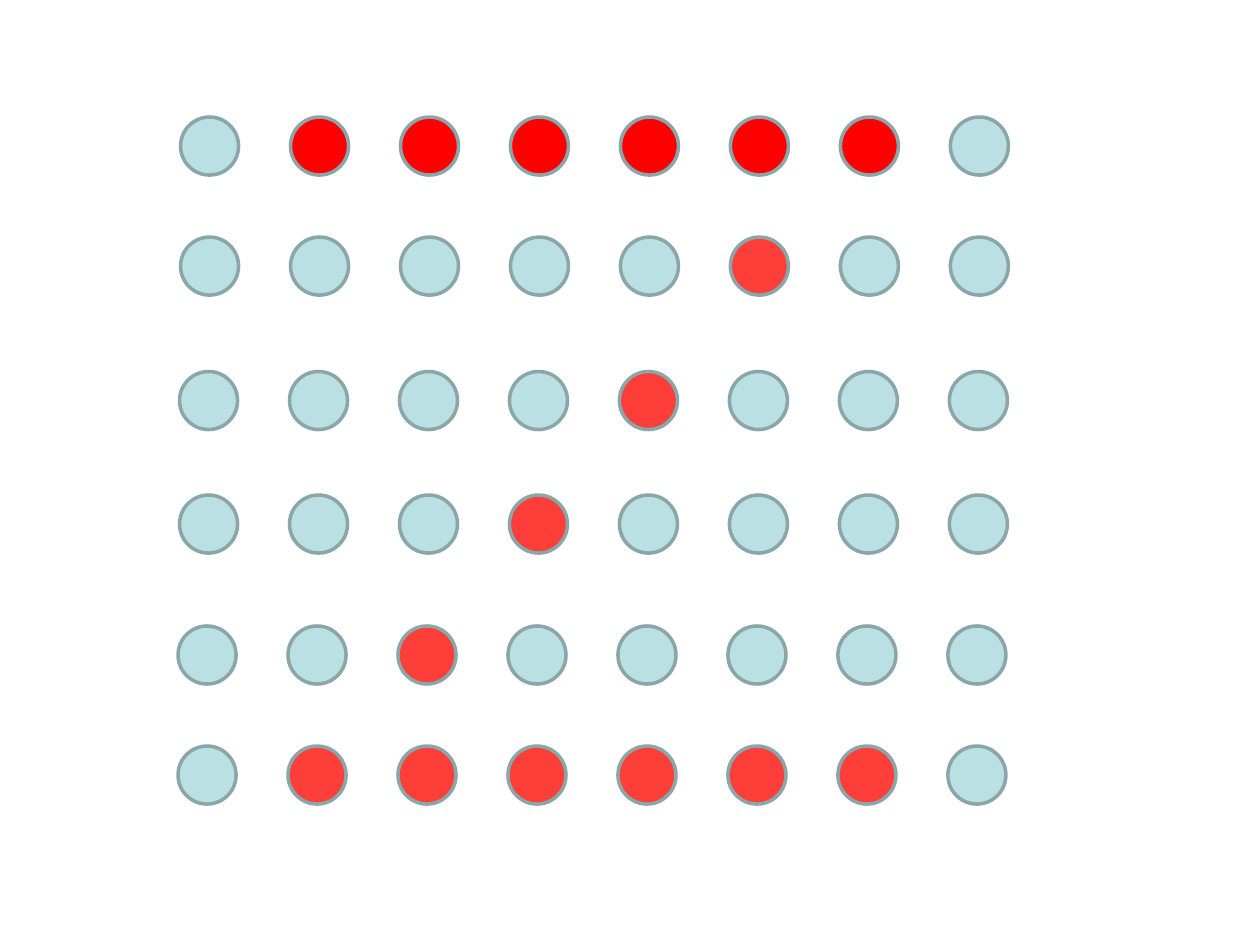
from pptx import Presentation
from pptx.dml.color import RGBColor
from pptx.enum.shapes import MSO_SHAPE
from pptx.util import Cm, Pt

OVAL = MSO_SHAPE.OVAL
PALE = RGBColor(0xBB, 0xE0, 0xE3)
RED = RGBColor(0xFF, 0x00, 0x00)
CORAL = RGBColor(0xFD, 0x3E, 0x39)
OUTLINE = RGBColor(0x8A, 0xA6, 0xA8)

COLUMNS = 8
PITCH = 2.217  # centre to centre, cm
DIAMETER = 1.17

# Rows in drawing order: left, top (cm), lit columns, lit colour
ROWS = [
    (3.64, 2.36, range(1, 7), RED),
    (3.64, 4.78, [5], CORAL),
    (3.62, 9.98, [3], CORAL),
    (3.59, 12.62, [2], CORAL),
    (3.62, 7.49, [4], CORAL),
    (3.59, 15.04, range(1, 7), CORAL),
]


class DotBoard:
    """Holds the dot style and the current slide."""

    def __init__(self, s):
        self.s = s

    def dot(self, group, left, top, color):
        sp = group.shapes.add_shape(OVAL, Cm(left), Cm(top),
                                    Cm(DIAMETER), Cm(DIAMETER))
        sp.shadow.inherit = False
        sp.fill.solid()
        sp.fill.fore_color.rgb = color
        sp.line.color.rgb = OUTLINE
        sp.line.width = Pt(2)

    def row(self, left, top, lit, lit_color):
        group = self.s.shapes.add_group_shape()
        for col in range(COLUMNS):
            color = lit_color if col in lit else PALE
            self.dot(group, left + col * PITCH, top, color)


def main():
    prs = Presentation()
    prs.slide_width, prs.slide_height = Cm(25.4), Cm(19.05)
    s = prs.slides.add_slide(prs.slide_layouts[6])

    # Dot rows forming the letter Z
    board = DotBoard(s)
    for row in ROWS:
        board.row(*row)

    prs.save("out.pptx")


if __name__ == "__main__":
    main()
